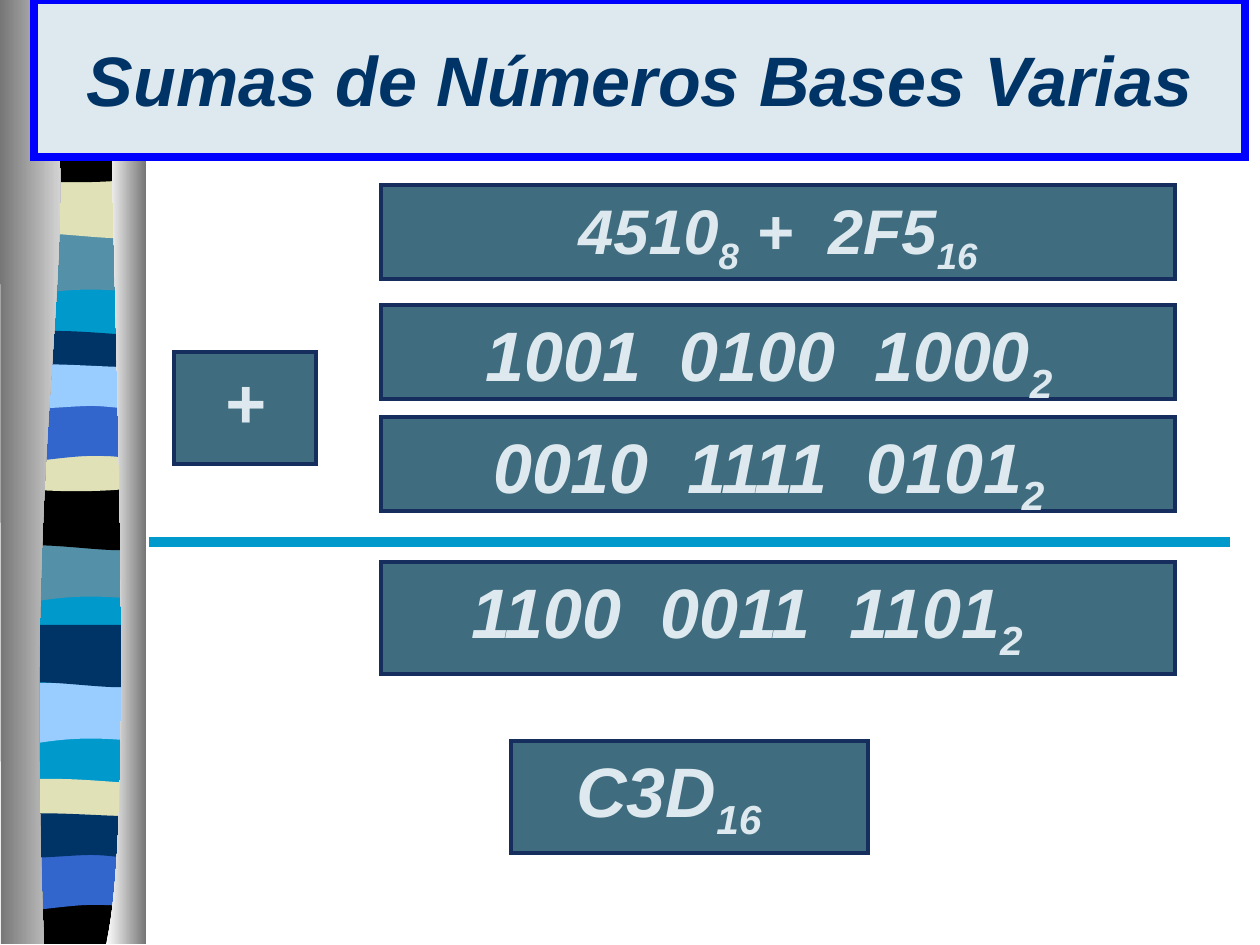
from pptx import Presentation
from pptx.dml.color import RGBColor
from pptx.enum.shapes import MSO_CONNECTOR, MSO_SHAPE
from pptx.enum.text import MSO_ANCHOR, PP_ALIGN
from pptx.oxml.ns import qn
from pptx.oxml.xmlchemy import OxmlElement
from pptx.util import Inches, Pt

PX = Inches(1) / 126
COLORS = {
    "cyan": "0099CC", "steel": "5490A8", "sand": "E1E1B7", "black": "000000",
    "blue": "3366CC", "navy": "003366", "sky": "99CCFF", "gray": "767676",
    "white": "FFFFFF", "pale": "DDE9EE", "frame": "0000FF",
    "box": "3F6C7E", "box_line": "162E5D",
}
STRIP_LEFT = 9

# Each band: lower edge (right to left) and upper edge (left to right).
# Two numbers are a straight step, six numbers a Bezier curve.
BANDS = {
    "ripple": [(134, 59), (42, 48, 23, 68, 0, 59), (0, 0)],
    "swell": [(134, 59), (112, 69, 42, 52, 0, 59), (0, 0)],
    "lens": [(134, 31), (111, 36, 23, 36, 0, 31), (0, 0),
             (8, -6, 30, -5, 50, -5), (73, -5, 116, -1, 134, 0)],
    "bowl": [(134, 41), (112, 48, 23, 48, 0, 41), (0, 0),
             (83, 6, 106, 0, 134, 0)],
    "floor": [(134, 47), (0, 47), (0, 0), (83, 6, 106, 0, 134, 0)],
    "arch": [(134, 59), (113, 52, 105, 52, 82, 52),
             (60, 52, 20, 59, 0, 59), (0, 0)],
    "wave": [(134, 39), (125, 45, 105, 39, 82, 39),
             (59, 39, 14, 45, 0, 39), (0, 0), (19, -6, 91, 0, 113, 0)],
}
# Tops and colours of the bands, one group after another
BAND_GROUPS = [
    {"ripple": (234, "steel"), "swell": (176, "sand"), "lens": (25, "steel"),
     "bowl": (136, "black"), "arch": (93, "blue"), "wave": (57, "navy")},
    {"ripple": (541, "steel"), "swell": (488, "black"), "lens": (336, "navy"),
     "bowl": (445, "sand"), "arch": (404, "blue"), "wave": (367, "sky")},
    {"ripple": (683, "sky"), "swell": (625, "navy"), "lens": (784, "sand"),
     "floor": (897, "black"), "arch": (853, "blue"), "wave": (816, "navy")},
]
# Left, top, width, height, size, extra right inset, (text, is subscript) runs
SUM_BOXES = [
    (381, 185, 794, 94, 36, 0,
     [("4510", False), ("8", True), (" +  2F5", False), ("16", True)]),
    (381, 305, 794, 94, 40, 18, [("1001  0100  1000", False), ("2", True)]),
    (511, 741, 357, 112, 40, 41, [("C3D", False), ("16", True)]),
    (381, 417, 794, 94, 40, 18, [("0010  1111  0101", False), ("2", True)]),
    (381, 562, 794, 112, 40, 62, [("1100  0011  1101", False), ("2", True)]),
    (174, 352, 142, 112, 40, 0, [("+", False)]),
]


def px(value):
    return round(value * PX)


def color(name):
    return RGBColor.from_string(COLORS[name])


def bend(outline, steps):
    """Join the three straight segments of each Bezier step into one curve."""
    segments = iter(list(outline._element.iter(qn("a:lnTo"))))
    for step in steps:
        parts = [next(segments) for _ in range(len(step) // 2)]
        if len(parts) == 3:
            curve = OxmlElement("a:cubicBezTo")
            parts[0].addprevious(curve)
            for part in parts:
                curve.append(part[0])
                part.getparent().remove(part)


def add_outline(slide, start, steps, left=0, top=0):
    points = [start]
    for step in steps:
        points += zip(step[::2], step[1::2])
    corners = [(px(left + x), px(top + y)) for x, y in points]
    builder = slide.shapes.build_freeform(*corners[0])
    builder.add_line_segments(corners[1:], close=True)
    outline = builder.convert_to_shape()
    bend(outline, steps)
    outline.shadow.inherit = False
    outline.line.fill.background()
    return outline


def fill_solid(shape, name):
    shape.fill.solid()
    shape.fill.fore_color.rgb = color(name)


def fill_gradient(shape, first, last):
    shape.fill.gradient()
    shape.fill.gradient_angle = 0
    for stop, name in zip(shape.fill.gradient_stops, (first, last)):
        stop.color.rgb = color(name)


def set_frame(shape, fill, line, width):
    fill_solid(shape, fill)
    shape.line.color.rgb = color(line)
    shape.line.width = Pt(width)
    corner = OxmlElement("a:miter")
    corner.set("lim", "800000")
    shape.line._get_or_add_ln().append(corner)


def place(shape, left, top, width, height):
    shape.left, shape.top = px(left), px(top)
    shape.width, shape.height = px(width), px(height)


def add_run(paragraph, text, size, name, subscript=False):
    run = paragraph.add_run()
    run.text = text
    font = run.font
    font.name, font.size, font.bold, font.italic = "Arial", Pt(size), True, True
    font.color.rgb = color(name)
    if subscript:
        run._r.get_or_add_rPr().set("baseline", "-25000")


def add_ribbon(slide):
    # Coloured bands
    base = add_outline(slide, (144, -1), [(144, 941), (10, 941), (10, -1)])
    fill_solid(base, "cyan")
    for group in BAND_GROUPS:
        for kind, (top, name) in group.items():
            band = add_outline(slide, (134, 0), BANDS[kind], STRIP_LEFT, top)
            fill_solid(band, name)
    # Shaded curtains on both sides
    left_curtain = add_outline(
        slide, (45, -1), [(89, 272, 21, 373, 44, 944), (1, 944), (0, -1)])
    fill_gradient(left_curtain, "gray", "white")
    right_curtain = add_outline(
        slide, (111, -1),
        [(106, 158, 140, 814, 106, 944), (146, 944), (146, 0)])
    fill_gradient(right_curtain, "white", "gray")


def add_title(slide):
    title = slide.shapes.title
    slide.shapes._spTree.append(title._element)  # above the ribbon
    place(title, 34, 0, 1211, 157)
    set_frame(title, "pale", "frame", 4.5)
    title.text_frame.vertical_anchor = MSO_ANCHOR.MIDDLE
    paragraph = title.text_frame.paragraphs[0]
    paragraph.alignment = PP_ALIGN.CENTER
    add_run(paragraph, "Sumas de Números Bases Varias", 40, "navy")


def add_sum_box(slide, left, top, width, height, size, extra_inset, runs):
    box = slide.shapes.add_shape(
        MSO_SHAPE.RECTANGLE, px(left), px(top), px(width), px(height))
    box.shadow.inherit = False
    set_frame(box, "box", "box_line", 2.5)
    frame = box.text_frame
    frame.word_wrap = True
    frame.vertical_anchor = MSO_ANCHOR.TOP
    frame.margin_right = Inches(0.1) + px(extra_inset)
    paragraph = frame.paragraphs[0]
    paragraph.alignment = PP_ALIGN.CENTER
    paragraph.space_before = Pt(4.5)
    for text, subscript in runs:
        add_run(paragraph, text, size, "pale", subscript)


def add_sum_line(slide):
    sum_line = slide.shapes.add_connector(
        MSO_CONNECTOR.STRAIGHT, px(149), px(542), px(1230), px(542))
    sum_line.line.color.rgb = color("cyan")
    sum_line.line.width = Pt(6)
    sum_line._element.spPr.append(OxmlElement("a:effectLst"))


def main():
    deck = Presentation()
    deck.slide_width, deck.slide_height = Inches(10), Inches(7.5)
    slide = deck.slides.add_slide(deck.slide_layouts[5])
    add_ribbon(slide)
    add_title(slide)
    for sum_box in SUM_BOXES:
        add_sum_box(slide, *sum_box)
    add_sum_line(slide)
    deck.save("out.pptx")


if __name__ == "__main__":
    main()
